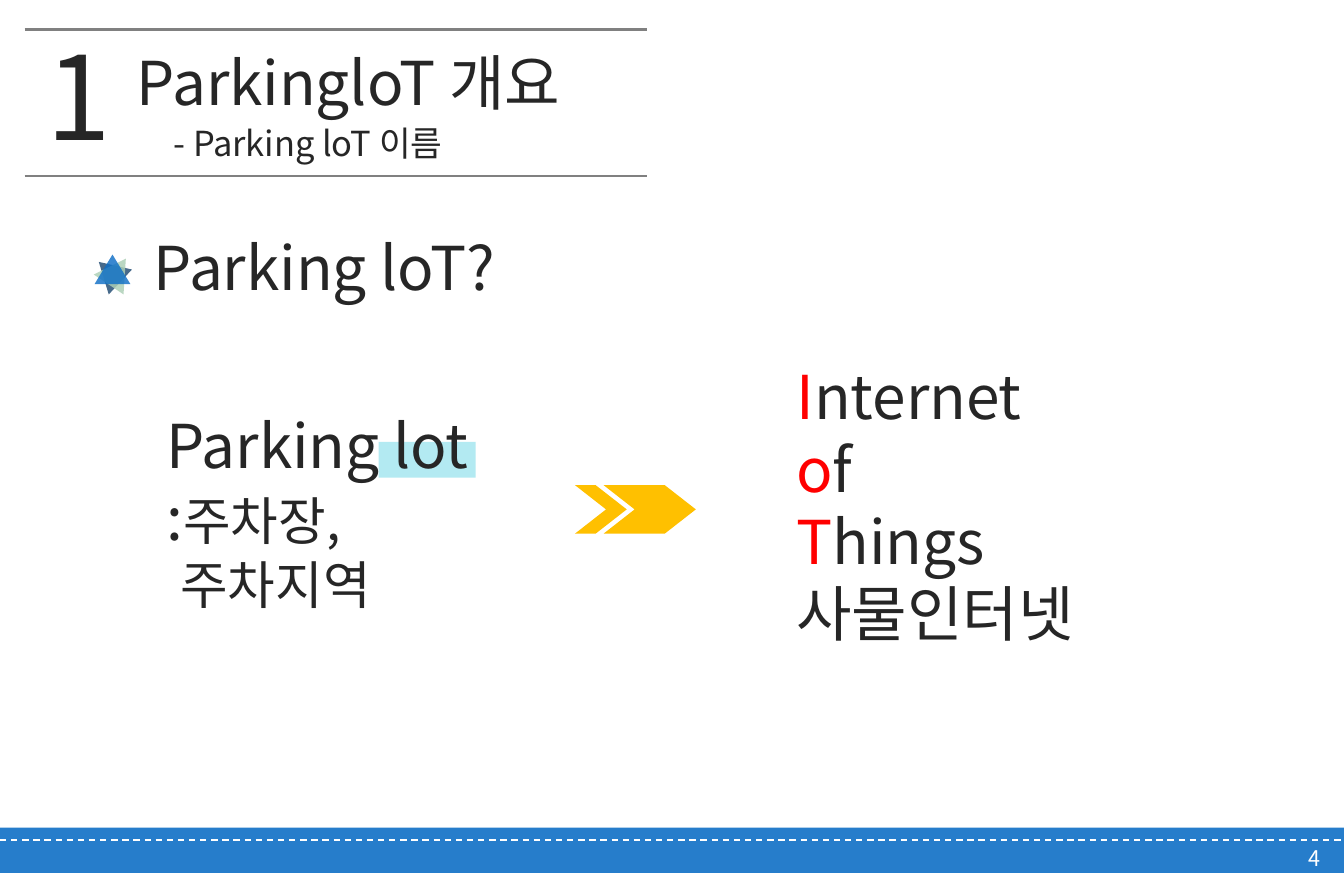
from lxml import etree
from pptx import Presentation
from pptx.dml.color import RGBColor
from pptx.enum.dml import MSO_LINE
from pptx.enum.shapes import MSO_CONNECTOR, MSO_SHAPE
from pptx.enum.text import MSO_ANCHOR, PP_ALIGN
from pptx.oxml.ns import qn
from pptx.util import Pt

RECT, CHEVRON, TRIANGLE = MSO_SHAPE.RECTANGLE, MSO_SHAPE.CHEVRON, MSO_SHAPE.ISOSCELES_TRIANGLE
STRAIGHT, DASH = MSO_CONNECTOR.STRAIGHT, MSO_LINE.DASH
LEFT, CENTER, RIGHT = PP_ALIGN.LEFT, PP_ALIGN.CENTER, PP_ALIGN.RIGHT
TOP, MIDDLE = MSO_ANCHOR.TOP, MSO_ANCHOR.MIDDLE

INK = RGBColor(0x26, 0x26, 0x26)
GRAY = RGBColor(0x80, 0x80, 0x80)
WHITE = RGBColor(0xFF, 0xFF, 0xFF)
RED = RGBColor(0xFF, 0x00, 0x00)
BLUE = RGBColor(0x0F, 0x6F, 0xC6)
NAVY = RGBColor(0x08, 0x37, 0x63)
SAGE = RGBColor(0xAD, 0xD0, 0xB6)
AQUA = RGBColor(0xB3, 0xEA, 0xF2)
AMBER = RGBColor(0xFF, 0xC0, 0x00)

WIDTH, HEIGHT = 623.62, 405
FONT = "Noto Sans CJK KR"
LEADING = 1.2


class Deck:
    def __init__(self):
        self.prs = Presentation()
        self.prs.slide_width, self.prs.slide_height = Pt(WIDTH), Pt(HEIGHT)
        self.s = self.prs.slides.add_slide(self.prs.slide_layouts[6])

    def line(self, x1, x2, y, color, width, dash=None):
        """Draw a horizontal rule."""
        c = self.s.shapes.add_connector(STRAIGHT, Pt(x1), Pt(y), Pt(x2), Pt(y))
        c.line.color.rgb = color
        for name, value in {"width": Pt(width), "dash_style": dash}.items():
            setattr(c.line, name, value)
        etree.SubElement(c._element.spPr, qn("a:effectLst"))

    def shape(self, kind, box, color, opacity=100, rotation=0, adj=None):
        sp = self.s.shapes.add_shape(kind, *map(Pt, box))
        sp.shadow.inherit = False
        sp.rotation = rotation
        sp.fill.solid()
        sp.fill.fore_color.rgb = color
        sp.line.fill.background()
        if adj is not None:
            sp.adjustments[0] = adj
        if opacity < 100:
            clr = sp._element.spPr.find(".//" + qn("a:srgbClr"))
            etree.SubElement(clr, qn("a:alpha"), val=str(opacity * 1000))

    def text(self, box, lines, align=LEFT, anchor=TOP, indents=None):
        """Each line is a list of (text, size, color) runs; indents maps line index to points."""
        tf = self.s.shapes.add_textbox(*map(Pt, box)).text_frame
        for name, value in {"word_wrap": True, "vertical_anchor": anchor}.items():
            setattr(tf, name, value)
        for i, runs in enumerate(lines):
            p = tf.paragraphs[0] if i == 0 else tf.add_paragraph()
            p.alignment = align
            p.line_spacing = Pt(LEADING * max(size for _, size, _ in runs))
            if indents and i in indents:
                p._p.get_or_add_pPr().set("marL", str(Pt(indents[i])))
            for content, size, color in runs:
                r = p.add_run()
                r.text = content
                r.font.color.rgb = color
                for name, value in {"size": Pt(size), "name": FONT}.items():
                    setattr(r.font, name, value)
                etree.SubElement(r._r.get_or_add_rPr(), qn("a:ea"), typeface=FONT)

    def label(self, box, content, size, color=INK, **layout):
        """Place a single line in one style."""
        self.text(box, [[(content, size, color)]], **layout)


def main():
    deck = Deck()

    # Header and footer
    for y in (13.7, 81.6):
        deck.line(11.5, 300.4, y, GRAY, 1.25)
    deck.shape(RECT, (0, 384, WIDTH, 21), BLUE, opacity=90)
    deck.line(0, WIDTH, 389.7, WHITE, 0.75, DASH)
    deck.label((14.4, 24, 42.5, 38.9), "1", 54, align=CENTER, anchor=MIDDLE)
    deck.label((56.4, 17.3, 239, 33.8), "ParkingloT 개요", 28)
    deck.label((73.4, 53.3, 221.8, 25.2), "- Parking loT 이름", 16)
    deck.label((474.5, 390.5, 145.4, 15.1), "4", 10, WHITE, align=RIGHT, anchor=MIDDLE)

    # Arrow
    for x, w in ((280.1, 42.8), (266.8, 24)):
        deck.shape(CHEVRON, (x, 225.1, w, 22.5), AMBER, adj=0.64)

    # Meaning of the name
    deck.shape(RECT, (175.7, 205, 45, 16.6), AQUA)
    deck.text((70.2, 185.8, 196.6, 104.4),
              [[("Parking lot", 28, INK)],
               [(":", 28, INK), ("주차장,", 24, INK)],
               [("주차지역", 24, INK)]], indents={2: 6.4})
    words = [[(word[0], 28, RED), (word[1:], 28, INK)] for word in ("Internet", "of", "Things")]
    deck.text((362.5, 163.2, 196.6, 143.3), words + [[("사물인터넷", 28, INK)]])

    # Heading with its star
    deck.label((64.3, 103.4, 230.4, 41), "Parking loT?", 28)
    for box, color, opacity, rotation in (
            ((46.8, 120.2, 15.8, 13.7), NAVY, 74, 73),
            ((46.1, 118.8, 16.6, 14.4), SAGE, 83, 33.7),
            ((43.9, 118.1, 16.6, 13.7), BLUE, 82, 0)):
        deck.shape(TRIANGLE, box, color, opacity, rotation)

    deck.prs.save("out.pptx")


if __name__ == "__main__":
    main()
